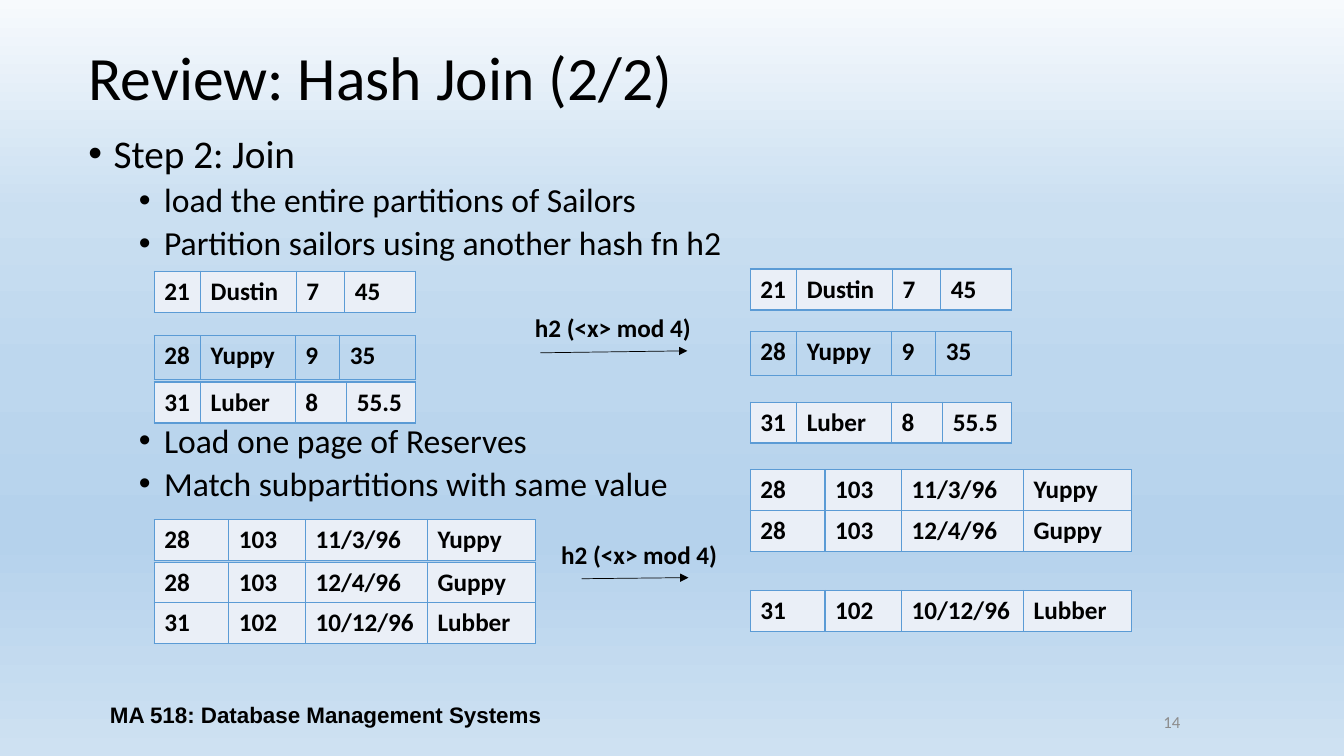
import lxml.etree
import pptx
import pptx.dml.color
import pptx.enum.shapes
import pptx.enum.text
import pptx.oxml.ns
import pptx.util

Pt = pptx.util.Pt
RGB = pptx.dml.color.RGBColor
ALIGN = pptx.enum.text.PP_ALIGN
MIDDLE = pptx.enum.text.MSO_ANCHOR.MIDDLE
qn = pptx.oxml.ns.qn

BLACK = RGB(0, 0, 0)
GREY = RGB(0x8C, 0x8C, 0x8C)
BLUE = RGB(0x5B, 0x9B, 0xD5)
PALE = RGB(0xEA, 0xEF, 0xF7)
SKY = [
    (0, RGB(0xF7, 0xFA, 0xFD)),
    (28, RGB(0xCA, 0xDF, 0xF1)),
    (49, RGB(0xBD, 0xD7, 0xEE)),
    (71, RGB(0xB5, 0xD2, 0xEC)),
    (100, RGB(0xCE, 0xE1, 0xF2)),
]

# Sailors: values, column widths, height, fill, tops on the left and right
SAILORS = [
    (("21", "Dustin", "7", "45"), (33.1, 68.4, 34.6, 50.4), 29.3, PALE, 193.7, 192.2),
    (("28", "Yuppy", "9", "35"), (33.1, 67.7, 31.7, 54), 31.2, None, 239.8, 236.9),
    (("31", "Luber", "8", "55.5"), (33.1, 67.7, 36.7, 49), 29, PALE, 272.9, 287.3),
]
# Reserves: values, tops on the left and right
RESERVES = [
    (("28", "103", "11/3/96", "Yuppy"), 371.3, 335.5),
    (("28", "103", "12/4/96", "Guppy"), 401.6, 364.5),
    (("31", "102", "10/12/96", "Lubber"), 430.6, 421.8),
]
WIDTHS = (53.3, 54.7, 87.2, 77.2)
LEFT, RIGHT = 110.2, 536

# Body lines: text, level, size, space before
STEPS = [
    ("Step 2: Join", 0, 28, 10),
    ("load the entire partitions of Sailors", 1, 24, 5),
    ("Partition sailors using another hash fn h2", 1, 24, 5),
    ("Load one page of Reserves", 1, 24, 115),
    ("Match subpartitions with same value", 1, 24, 5),
]


def style(para, size, bold=False, color=BLACK, face="Calibri"):
    """Set the font of a whole paragraph."""
    font = para.font
    font.size, font.bold, font.name = Pt(size), bold, face
    font.color.rgb = color


def paint(slide):
    """Fill the background with a vertical gradient."""
    fill = slide.background.fill
    fill.gradient()
    fill.gradient_angle = 270
    stops = next(slide.element.iter(qn("a:gsLst")))
    for stop in list(stops):
        stops.remove(stop)
    for place, color in SKY:
        stop = lxml.etree.SubElement(stops, qn("a:gs"), pos=str(place * 1000))
        lxml.etree.SubElement(stop, qn("a:srgbClr"), val=str(color))


def place(shape, left, top, width, height):
    """Move and size a shape."""
    shape.left, shape.top = Pt(left), Pt(top)
    shape.width, shape.height = Pt(width), Pt(height)


def head(slide, text):
    """Write the slide title."""
    title = slide.shapes.title
    place(title, 56, 5, 828, 104.4)
    frame = title.text_frame
    frame.text = text
    frame.auto_size = pptx.enum.text.MSO_AUTO_SIZE.NONE
    frame.vertical_anchor = MIDDLE
    para = frame.paragraphs[0]
    para.alignment, para.line_spacing = ALIGN.LEFT, 0.9
    style(para, 44)


def bullets(slide):
    """Write the list of steps."""
    body = slide.placeholders[1]
    place(body, 56, 92.2, 828, 342.7)
    frame = body.text_frame
    frame.text = "\n".join(step[0] for step in STEPS)
    frame.auto_size = pptx.enum.text.MSO_AUTO_SIZE.NONE
    for para, (_, level, size, before) in zip(frame.paragraphs, STEPS):
        props = para._p.get_or_add_pPr()
        props.set("marL", str(Pt(18 + 36 * level)))
        props.set("indent", str(Pt(-18)))
        lxml.etree.SubElement(props, qn("a:buFont"), typeface="Arial")
        lxml.etree.SubElement(props, qn("a:buChar"), char="•")
        para.level = level
        para.line_spacing, para.space_before = 0.9, Pt(before)
        style(para, size)


def label(slide, text, box, align=ALIGN.LEFT, **look):
    """Add a one-line text box."""
    frame = slide.shapes.add_textbox(*map(Pt, box)).text_frame
    frame.word_wrap, frame.vertical_anchor = True, MIDDLE
    para = frame.paragraphs[0]
    para.text, para.alignment = text, align
    style(para, **look)


def border(cell):
    """Draw a thin blue line on each side of a cell."""
    props = cell._tc.get_or_add_tcPr()
    for side in "LRTB":
        line = lxml.etree.SubElement(props, qn("a:ln" + side), w=str(Pt(1)))
        solid = lxml.etree.SubElement(line, qn("a:solidFill"))
        lxml.etree.SubElement(solid, qn("a:srgbClr"), val=str(BLUE))


def record(slide, left, top, values, widths, height=29.2, fill=PALE):
    """Add a one-row table that shows a record."""
    box = map(Pt, (left, top, sum(widths), height))
    table = slide.shapes.add_table(1, len(values), *box).table
    table.first_row = table.horz_banding = False
    for col, (value, width) in enumerate(zip(values, widths)):
        table.columns[col].width = Pt(width)
        cell = table.cell(0, col)
        cell.text = value
        style(cell.text_frame.paragraphs[0], 18, True)
        border(cell)
        if fill is None:
            cell.fill.background()
        else:
            cell.fill.solid()
            cell.fill.fore_color.rgb = fill


def arrow(slide, *ends):
    """Add a thin arrow between two points."""
    kind = pptx.enum.shapes.MSO_CONNECTOR.STRAIGHT
    link = slide.shapes.add_connector(kind, *map(Pt, ends))
    link.line.color.rgb, link.line.width = BLACK, Pt(0.5)
    lxml.etree.SubElement(link.line._get_or_add_ln(), qn("a:tailEnd"), type="triangle")
    lxml.etree.SubElement(link._element.spPr, qn("a:effectLst"))


def main():
    """Build and save the slide."""
    deck = pptx.Presentation()
    deck.slide_width, deck.slide_height = Pt(960), Pt(540)
    slide = deck.slides.add_slide(deck.slide_layouts[1])
    paint(slide)
    head(slide, "Review: Hash Join (2/2)")
    bullets(slide)
    for values, widths, height, fill, *tops in SAILORS:
        for left, top in zip((LEFT, RIGHT), tops):
            record(slide, left, top, values, widths, height, fill)
    for values, *tops in RESERVES:
        for left, top in zip((LEFT, RIGHT), tops):
            record(slide, left, top, values, WIDTHS)
    for left, top in ((375, 219), (393.8, 381.8)):
        label(slide, "h2 (<x> mod 4)", (left, top, 129.6, 29), size=18, bold=True)
    arrow(slide, 386, 252, 491, 250.6)
    arrow(slide, 415.4, 413.4, 491.8, 412.6)
    label(slide, "MA 518: Database Management Systems", (70.6, 496, 324, 28.8),
          ALIGN.CENTER, size=16, bold=True, face="Arial")
    label(slide, "14", (634.3, 501.1, 216, 28.8), ALIGN.RIGHT, size=12, color=GREY)
    deck.save("out.pptx")


main()
